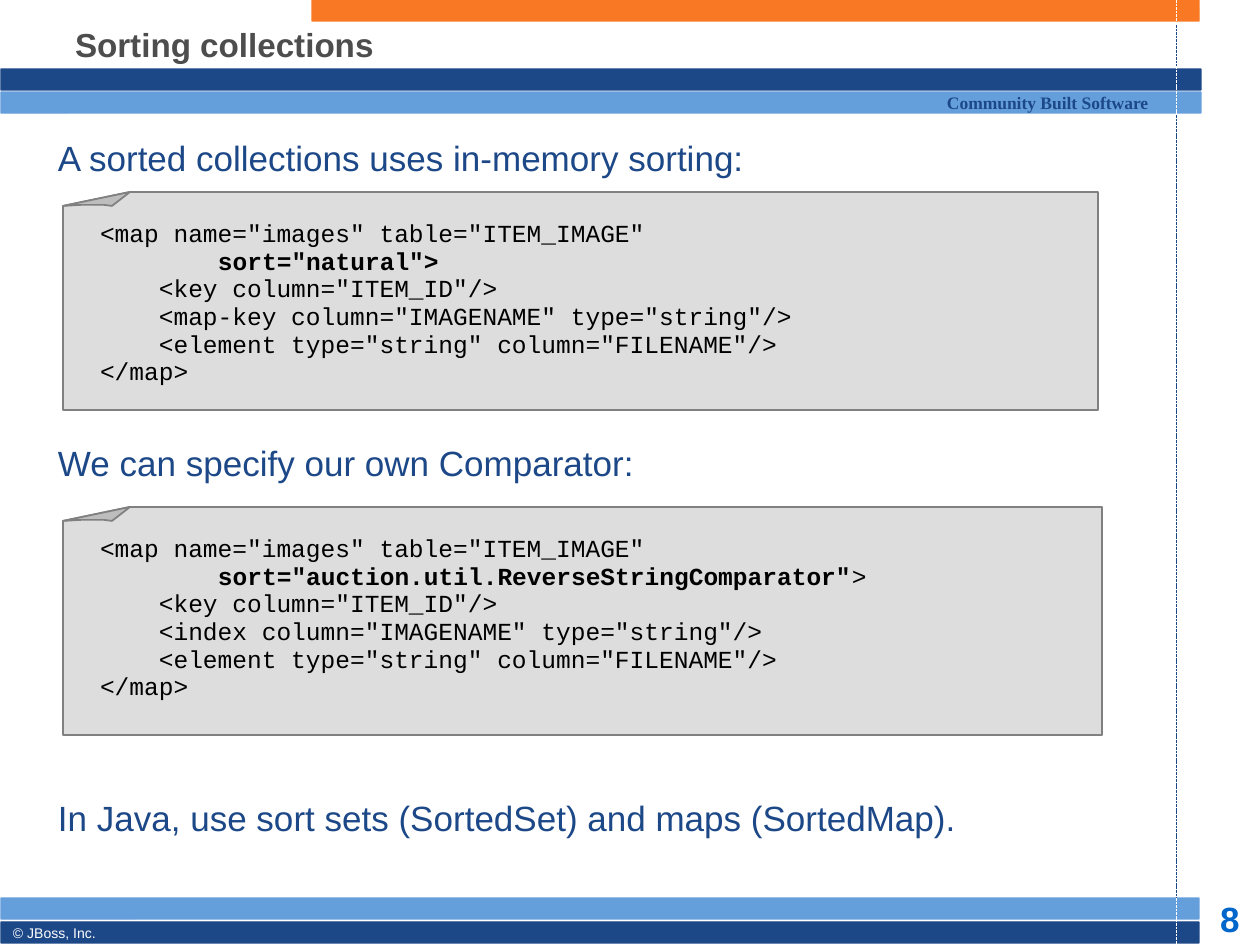
import pptx
import pptx.util
import pptx.dml.color
import pptx.enum.dml
import pptx.enum.shapes
import pptx.enum.text
import pptx.oxml.ns
import lxml.etree

SCALE = 914400 / 126
SLIDE_WIDTH, SLIDE_HEIGHT = 1260, 945
MARGIN_X = 1176

NAVY = pptx.dml.color.RGBColor(0x1D, 0x48, 0x88)
SKY = pptx.dml.color.RGBColor(0x64, 0x9F, 0xDC)
ORANGE = pptx.dml.color.RGBColor(0xF8, 0x78, 0x24)
WHITE = pptx.dml.color.RGBColor(0xFF, 0xFF, 0xFF)
BLACK = pptx.dml.color.RGBColor(0, 0, 0)
LINK_BLUE = pptx.dml.color.RGBColor(0, 0x66, 0xCC)
TITLE_GRAY = pptx.dml.color.RGBColor(0x4D, 0x4D, 0x4D)
NOTE_FILL = pptx.dml.color.RGBColor(0xDD, 0xDD, 0xDD)
FOLD_FILL = pptx.dml.color.RGBColor(0xBD, 0xBD, 0xBD)
NOTE_EDGE = pptx.dml.color.RGBColor(0x80, 0x80, 0x80)

MAP_OPEN = ('<map name="images" table="ITEM_IMAGE"', "", "")
KEY = ('    <key column="ITEM_ID"/>', "", "")
ELEMENT = ('    <element type="string" column="FILENAME"/>', "", "")
MAP_CLOSE = ("</map>", "", "")
NATURAL_CODE = [
    MAP_OPEN,
    ("        ", 'sort="natural">', ""),
    KEY,
    ('    <map-key column="IMAGENAME" type="string"/>', "", ""),
    ELEMENT,
    MAP_CLOSE,
]
COMPARATOR_CODE = [
    MAP_OPEN,
    ("        ", 'sort="auction.util.ReverseStringComparator"', ">"),
    KEY,
    ('    <index column="IMAGENAME" type="string"/>', "", ""),
    ELEMENT,
    MAP_CLOSE,
]


def px(length):
    return pptx.util.Emu(round(length * SCALE))


def write(para, text, size=20, color=NAVY, font="Arial", bold=False):
    span = para.add_run()
    span.text = text
    span.font.size = pptx.util.Pt(size)
    span.font.name = font
    span.font.bold = bold
    span.font.color.rgb = color


def set_insets(frame, side, top, bottom):
    frame.margin_left = frame.margin_right = px(side)
    frame.margin_top, frame.margin_bottom = px(top), px(bottom)
    frame.word_wrap = True


def add_box(page, left, top, width, height, side=0, above=0, below=0):
    box = page.shapes.add_textbox(px(left), px(top), px(width), px(height))
    set_insets(box.text_frame, side, above, below)
    return box.text_frame


def paint(shape, fill, edge, weight):
    shape.shadow.inherit = False
    shape.fill.solid()
    shape.fill.fore_color.rgb = fill
    shape.line.color.rgb = edge
    shape.line.width = pptx.util.Pt(weight)


def add_bar(page, left, top, width, color):
    kind = pptx.enum.shapes.MSO_SHAPE.ROUNDED_RECTANGLE
    bar = page.shapes.add_shape(kind, px(left), px(top), px(width), px(21))
    bar.adjustments[0] = 0.01
    paint(bar, color, color, 0.75)


def add_margin_line(page, top, bottom, color):
    kind = pptx.enum.shapes.MSO_CONNECTOR.STRAIGHT
    line = page.shapes.add_connector(kind, px(MARGIN_X), px(top), px(MARGIN_X), px(bottom))
    line.line.color.rgb = color
    line.line.width = pptx.util.Pt(0.5)
    line.line.dash_style = pptx.enum.dml.MSO_LINE.SQUARE_DOT
    lxml.etree.SubElement(line._element.spPr, pptx.oxml.ns.qn("a:effectLst"))


def add_header(page, left, top, width):
    add_bar(page, left + 311, top, width - 313, ORANGE)
    add_bar(page, left, top + 69, width, NAVY)
    add_bar(page, left, top + 92, width, SKY)
    title = page.shapes.title
    title.left, title.top = px(left + 61), px(top + 18)
    title.width, title.height = px(1071), px(53)
    frame = title.text_frame
    set_insets(frame, 13, 6, 6)
    frame.vertical_anchor = pptx.enum.text.MSO_ANCHOR.MIDDLE
    para = frame.paragraphs[0]
    para.alignment = pptx.enum.text.PP_ALIGN.LEFT
    write(para, "Sorting collections", size=19, color=TITLE_GRAY, bold=True)
    para = add_box(page, left + 933, top + 89, 260, 29, 13, 6, 6).paragraphs[0]
    para.line_spacing = 0.86
    write(para, "Community Built Software", size=10, font="Times New Roman", bold=True)


def add_footer(page, left, top, width):
    add_bar(page, left, top, width, SKY)
    add_bar(page, left, top + 24, width, NAVY)
    para = add_box(page, left - 1, top + 23, 140, 26, 13, 6, 6).paragraphs[0]
    para.line_spacing = 0.84
    write(para, "© JBoss, Inc.", size=8, color=WHITE)
    para = add_box(page, left + 1199, top + 3, 60, 37).paragraphs[0]
    para.alignment = pptx.enum.text.PP_ALIGN.CENTER
    para.line_spacing = 0.93
    write(para, "8", color=LINK_BLUE, bold=True)


def add_margin(page):
    add_margin_line(page, 0, 21, WHITE)
    add_margin_line(page, 25, 66, NAVY)
    add_margin_line(page, 66, 115, WHITE)
    add_margin_line(page, 115, 898, NAVY)
    add_margin_line(page, 898, 944, WHITE)


def add_outline(page, left, top, points, fill):
    corners = [(left + x, top + y) for x, y in points]
    builder = page.shapes.build_freeform(*corners[0], scale=SCALE)
    builder.add_line_segments(corners[1:], close=True)
    paint(builder.convert_to_shape(), fill, NOTE_EDGE, 1)


def add_code_note(page, left, top, width, height, lines):
    sheet = [(width, height), (0, height), (0, 14), (67, 0), (width, 0)]
    fold = [(67, 0), (49, 14), (41, 13), (32, 13), (18, 13), (0, 14)]
    add_outline(page, left, top, sheet, NOTE_FILL)
    add_outline(page, left, top, fold, FOLD_FILL)
    frame = add_box(page, left + 24, top + 5, width - 60, 186, 13, 25, 6)
    for index, pieces in enumerate(lines):
        para = frame.add_paragraph() if index else frame.paragraphs[0]
        para.line_spacing = 0.94 if index else 0.89
        for text, bold in zip(pieces, (False, True, False)):
            if text:
                write(para, text, size=14, color=BLACK, font="Courier New", bold=bold)


def add_statement(page, left, top, text):
    write(add_box(page, left, top, 1108, 40).paragraphs[0], text)


def main():
    deck = pptx.Presentation()
    deck.slide_width, deck.slide_height = px(SLIDE_WIDTH), px(SLIDE_HEIGHT)
    page = deck.slides.add_slide(deck.slide_layouts[5])
    add_header(page, 1, 0, 1200)
    add_footer(page, 1, 898, 1198)
    add_margin(page)
    add_statement(page, 58, 137, "A sorted collections uses in-memory sorting:")
    add_code_note(page, 63, 192, 1035, 218, NATURAL_CODE)
    add_statement(page, 58, 442, "We can specify our own Comparator:")
    add_code_note(page, 63, 507, 1039, 228, COMPARATOR_CODE)
    add_statement(page, 58, 797, "In Java, use sort sets (SortedSet) and maps (SortedMap).")
    deck.save("out.pptx")


if __name__ == "__main__":
    main()
